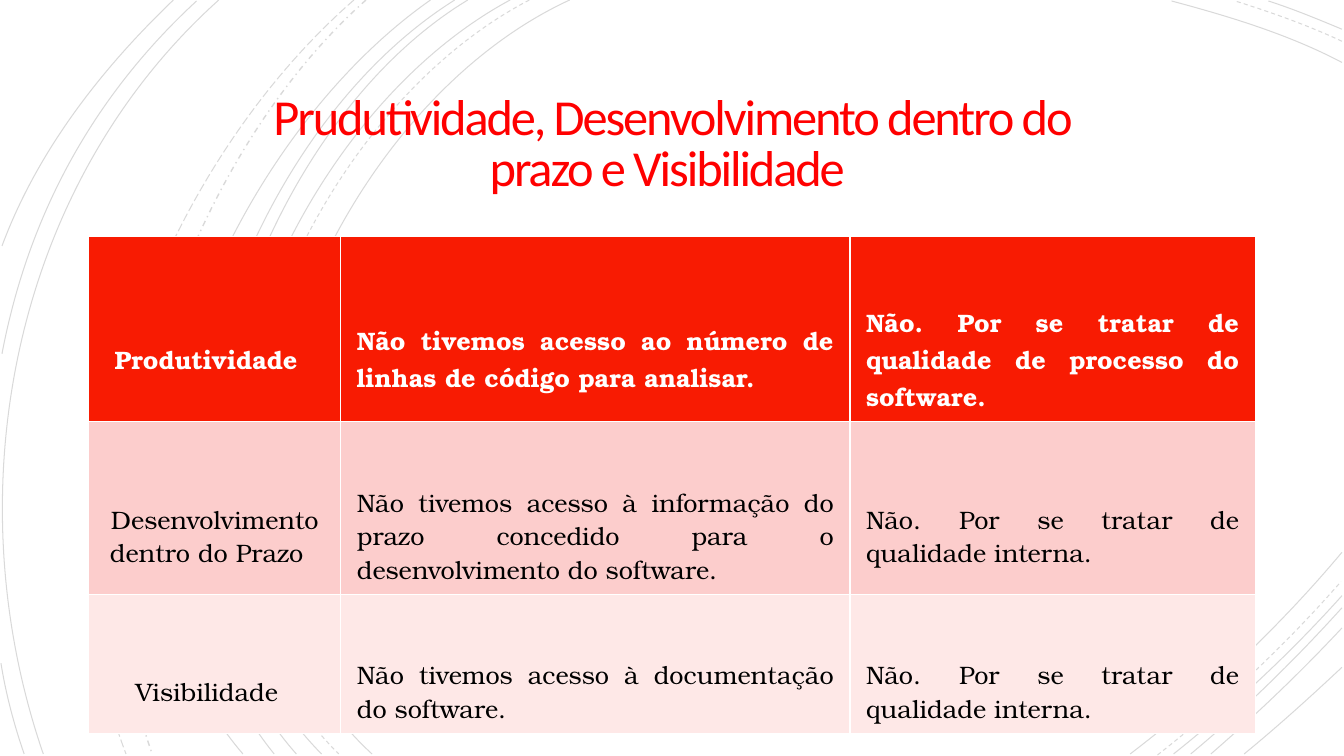
"""Build a slide with a quality table over a backdrop of fine arcs."""
from lxml.etree import SubElement
from pptx import Presentation
from pptx.dml.color import RGBColor
from pptx.enum.dml import MSO_LINE
from pptx.enum.text import MSO_ANCHOR, PP_ALIGN
from pptx.oxml.ns import qn
from pptx.util import Inches, Pt

RED = RGBColor(0xFF, 0x00, 0x00)
HEADER_RED = RGBColor(0xF8, 0x1B, 0x02)
BAND_DARK = RGBColor(0xFC, 0xCD, 0xCC)
BAND_LIGHT = RGBColor(0xFE, 0xE8, 0xE7)
WHITE = RGBColor(0xFF, 0xFF, 0xFF)
BLACK = RGBColor(0x00, 0x00, 0x00)

SOLID, DASH = MSO_LINE.SOLID, MSO_LINE.DASH
ARCS = [
    (SOLID, [(5.65, 0), (3.15, 1.15), (1.43, 5.4), (3.69, 7.48)]),
    (SOLID, [(13.31, 0.62), (12.78, 0.34), (12.18, 0.16), (11.62, 0.01)]),
    (SOLID, [(11.21, 7.48), (11.97, 6.9), (12.69, 6.22), (13.31, 5.48)]),
    (DASH, [(5.25, 0), (2.85, 1.25), (1.23, 5.37), (3.36, 7.48)]),
    (DASH, [(13.31, 0.41), (12.97, 0.25), (12.6, 0.12), (12.25, 0.01)]),
    (DASH, [(11.48, 7.49), (12.13, 6.98), (12.75, 6.4), (13.3, 5.77)]),
    (SOLID, [(5.06, 0), (2.7, 1.27), (1.1, 5.37), (3.19, 7.48)]),
    (SOLID, [(13.31, 0.29), (13.07, 0.19), (12.83, 0.09), (12.58, 0.01)]),
    (SOLID, [(11.64, 7.48), (12.23, 7.01), (12.8, 6.48), (13.31, 5.91)]),
    (SOLID, [(4.64, 0), (2.44, 1.33), (1.1, 5.41), (2.94, 7.48)]),
    (SOLID, [(11.81, 7.48), (12.34, 7.04), (12.84, 6.55), (13.31, 6.03)]),
    (SOLID, [(4.51, 0), (2.31, 1.38), (0.97, 5.33), (2.72, 7.48)]),
    (SOLID, [(12.01, 7.48), (12.46, 7.09), (12.9, 6.67), (13.31, 6.23)]),
    (SOLID, [(4.27, 0), (2.17, 1.47), (0.53, 5.29), (2.41, 7.48)]),
    (SOLID, [(12.34, 7.48), (12.67, 7.21), (12.99, 6.92), (13.31, 6.62)]),
    (MSO_LINE.DASH_DOT, [(3.63, 0), (1.76, 1.66), (0.65, 5.09), (1.51, 7.48)]),
    (MSO_LINE.LONG_DASH, [(3.51, 0), (1.57, 1.69), (0.29, 4.99), (1.25, 7.48)]),
    (SOLID, [(2.17, 0), (0.11, 1.85), (-0.46, 4.9), (0.43, 7.48)]),
    (SOLID, [(1.95, 0.01), (0.92, 0.96), (0.28, 2.14), (0.02, 3.51)]),
    (SOLID, [(0.01, 6.58), (0.06, 6.89), (0.14, 7.19), (0.24, 7.48)]),
    (SOLID, [(1.72, 0), (1, 0.69), (0.37, 1.5), (0.02, 2.44)]),
]

TITLE = "Prudutividade, Desenvolvimento dentro do prazo e Visibilidade "
COLUMN_WIDTHS = [2.5, 5.05, 4.02]
ROWS = [
    (1.83, 0.66, HEADER_RED, WHITE, [
        "Produtividade  ",
        "Não tivemos acesso ao número de linhas de código para analisar.  ",
        "Não. Por se tratar de qualidade de processo do software.  "]),
    (1.71, 0.63, BAND_DARK, BLACK, [
        "Desenvolvimento dentro do Prazo  ",
        "Não tivemos acesso à informação do prazo concedido para o "
        "desenvolvimento do software.  ",
        "Não. Por se tratar de qualidade interna.  "]),
    (1.36, 0.63, BAND_LIGHT, BLACK, [
        "Visibilidade  ",
        "Não tivemos acesso à documentação do software.  ",
        "Não. Por se tratar de qualidade interna.  "]),
]


class SlideBuilder:
    """Holds the fonts and the current slide, and adds elements to it."""

    title_font = "Calibri"
    table_font = "TeX Gyre Bonum"

    def __init__(self, page):
        """Keep the slide to draw on."""
        self.page = page

    def arc(self, group, dash, points):
        """Add one faint cubic curve through a start, two controls and an end."""
        start, *others = [(Inches(x), Inches(y)) for x, y in points]
        builder = group.shapes.build_freeform(*start)
        builder.add_line_segments(others, close=False)
        curve = builder.convert_to_shape()
        segments = list(curve.element.iter(qn("a:lnTo")))
        outline = segments[0].getparent()
        bezier = SubElement(outline, qn("a:cubicBezTo"))
        for segment in segments:
            bezier.append(segment[0])
            outline.remove(segment)
        curve.shadow.inherit = False
        curve.fill.background()
        curve.line.color.rgb = BLACK
        curve.line.width = Pt(1 if dash == MSO_LINE.DASH_DOT else 0.75)
        curve.line.dash_style = dash
        for color in curve.line._ln.iter(qn("a:srgbClr")):
            SubElement(color, qn("a:alpha")).set("val", "15000")

    def backdrop(self, arcs):
        """Add all the curves as one group."""
        group = self.page.shapes.add_group_shape()
        for dash, points in arcs:
            self.arc(group, dash, points)

    def title(self, text):
        """Place and format the title placeholder, above the backdrop."""
        box = self.page.shapes.title
        box.element.getparent().append(box.element)
        box.left, box.top = Inches(1.92), Inches(0.87)
        box.width, box.height = Inches(9.49), Inches(1.15)
        frame = box.text_frame
        frame.text = text
        frame.word_wrap = True
        frame.vertical_anchor = MSO_ANCHOR.MIDDLE
        frame.margin_left = frame.margin_right = Inches(0.25)
        frame.margin_top = frame.margin_bottom = Inches(0.25)
        para = frame.paragraphs[0]
        para.alignment = PP_ALIGN.CENTER
        para.line_spacing = 0.85
        para.font.name = self.title_font
        para.font.size = Pt(36)
        para.font.color.rgb = RED
        para.runs[0].font._element.set("spc", "-150")

    def cell(self, cell, text, top, fill, color, bold, alignment):
        """Fill and format one table cell."""
        cell.fill.solid()
        cell.fill.fore_color.rgb = fill
        cell.vertical_anchor = MSO_ANCHOR.MIDDLE
        cell.margin_left = cell.margin_right = Inches(0.16)
        cell.margin_top, cell.margin_bottom = Inches(top), Inches(0.08)
        cell.text = text
        para = cell.text_frame.paragraphs[0]
        para.alignment = alignment
        para.font.name = self.table_font
        para.font.size = Pt(18)
        para.font.bold = bold
        para.font.color.rgb = color

    def table(self, left, top, widths, rows):
        """Add the table with a header row and tinted body rows."""
        height = sum(row[0] for row in rows)
        table = self.page.shapes.add_table(
            len(rows), len(widths), Inches(left), Inches(top),
            Inches(sum(widths)), Inches(height)).table
        for column, width in zip(table.columns, widths):
            column.width = Inches(width)
        for index, (height, margin, fill, color, texts) in enumerate(rows):
            table.rows[index].height = Inches(height)
            for position, text in enumerate(texts):
                alignment = PP_ALIGN.JUSTIFY if position else PP_ALIGN.CENTER
                self.cell(table.cell(index, position), text, margin, fill,
                          color, index == 0, alignment)


def main():
    """Create the deck and save it."""
    deck = Presentation()
    deck.slide_width, deck.slide_height = Inches(13.33), Inches(7.5)
    page = deck.slides.add_slide(deck.slide_layouts[5])
    page.background.fill.solid()
    page.background.fill.fore_color.rgb = WHITE
    builder = SlideBuilder(page)
    builder.backdrop(ARCS)
    builder.title(TITLE)
    builder.table(0.88, 2.35, COLUMN_WIDTHS, ROWS)
    deck.save("out.pptx")


if __name__ == "__main__":
    main()
